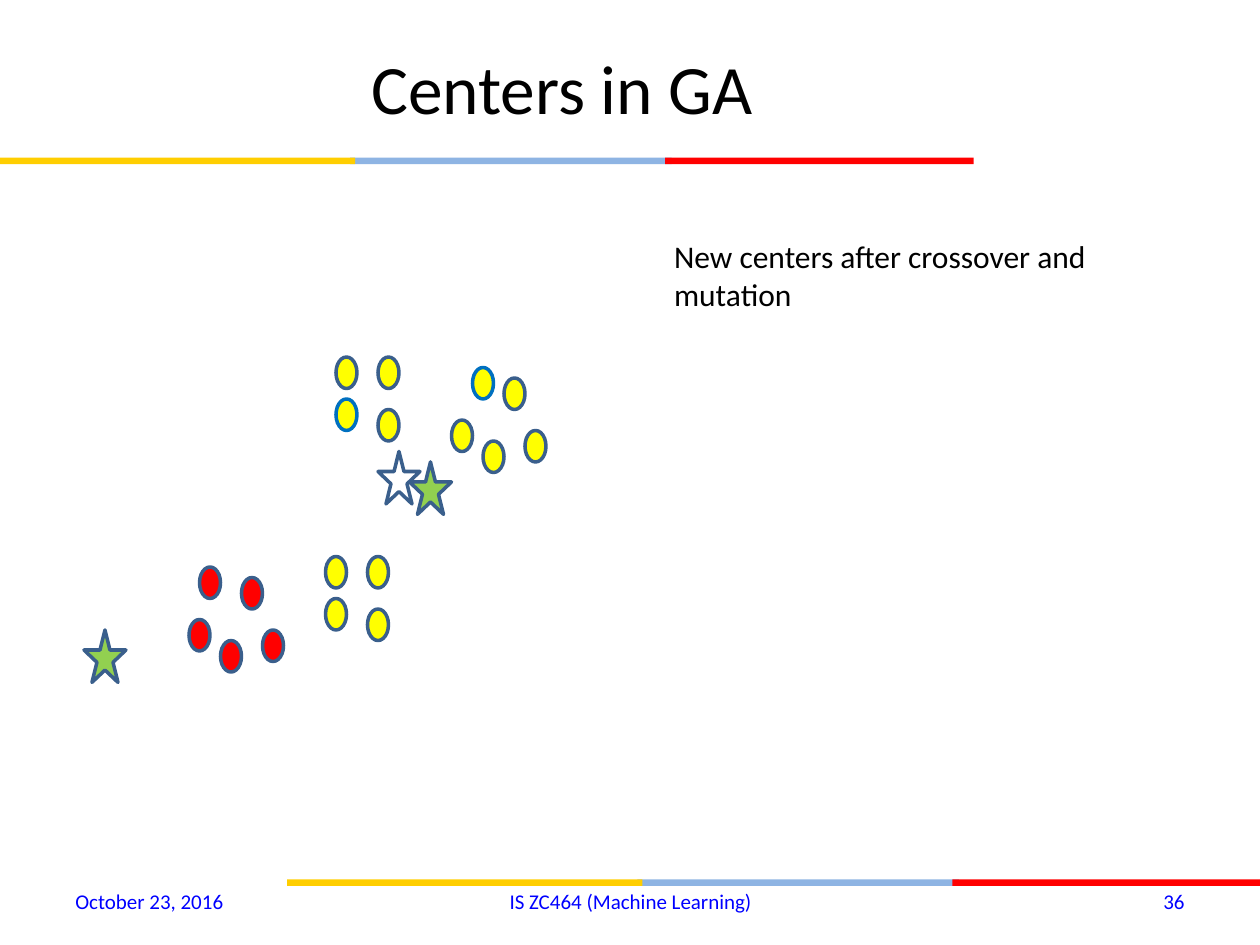
import pptx
import pptx.dml.color
import pptx.enum.shapes
import pptx.enum.text
import pptx.util

Cm = pptx.util.Cm
RGBColor = pptx.dml.color.RGBColor
Shape = pptx.enum.shapes.MSO_SHAPE
Align = pptx.enum.text.PP_ALIGN
Anchor = pptx.enum.text.MSO_ANCHOR

BLACK = RGBColor(0x00, 0x00, 0x00)
WHITE = RGBColor(0xFF, 0xFF, 0xFF)
YELLOW = RGBColor(0xFF, 0xFF, 0x00)
RED = RGBColor(0xFF, 0x00, 0x00)
GREEN = RGBColor(0x92, 0xD0, 0x50)
GOLD = RGBColor(0xFF, 0xCE, 0x00)
LIGHT_BLUE = RGBColor(0x8E, 0xB4, 0xE3)
FOOTER_BLUE = RGBColor(0x00, 0x00, 0xFF)
OUTLINE = RGBColor(0x3A, 0x5F, 0x8C)
BRIGHT_OUTLINE = RGBColor(0x00, 0x70, 0xC0)

GRID_STEP = 2.54 / 12
POINT_SIZE = (2, 3)
STAR_SIZE = (4, 5)

SQUARE_OFFSETS = [(0, 0), (4, 0), (0, 4), (4, 5)]
SQUARE_ORIGINS = [(32, 34), (31, 53)]
YELLOW_RING = [(43, 40), (45, 35), (48, 36), (46, 42), (50, 41)]
RED_RING = [(18, 59), (19, 54), (23, 55), (21, 61), (25, 60)]
BRIGHT_POINTS = {(32, 38), (45, 35)}
CENTERS = [((36, 43), WHITE), ((8, 60), GREEN), ((39, 44), GREEN)]


def add_filled_shape(slide, kind, left, top, width, height, fill, line=None):
    shape = slide.shapes.add_shape(kind, Cm(left), Cm(top), Cm(width), Cm(height))
    shape.shadow.inherit = False
    shape.fill.solid()
    shape.fill.fore_color.rgb = fill
    if line is None:
        shape.line.fill.background()
    else:
        shape.line.color.rgb = line
        shape.line.width = pptx.util.Pt(2)


def add_grid_shape(slide, kind, position, size, fill, line=OUTLINE):
    box = [units * GRID_STEP for units in position + size]
    add_filled_shape(slide, kind, *box, fill, line)


def add_color_bar(slide, left, top):
    for offset, width, color in [
        (7.06, 6.48, LIGHT_BLUE),
        (13.41, 6.22, RED),
        (0, 7.16, GOLD),
    ]:
        add_filled_shape(slide, Shape.RECTANGLE, left + offset, top, width, 0.13, color)


def add_text(slide, text, left, top, width, height, *, size, color=BLACK,
             align=Align.LEFT, anchor=Anchor.MIDDLE):
    box = slide.shapes.add_textbox(Cm(left), Cm(top), Cm(width), Cm(height))
    frame = box.text_frame
    frame.word_wrap = True
    frame.vertical_anchor = anchor
    paragraph = frame.paragraphs[0]
    paragraph.text = text
    paragraph.alignment = align
    paragraph.font.name = "Calibri"
    paragraph.font.size = pptx.util.Pt(size)
    paragraph.font.color.rgb = color


def add_points(slide, positions, fill):
    for position in positions:
        line = BRIGHT_OUTLINE if position in BRIGHT_POINTS else OUTLINE
        add_grid_shape(slide, Shape.OVAL, position, POINT_SIZE, fill, line)


def add_footer(slide):
    for text, left, width, align in [
        ("October 23, 2016", 1.27, 5.92, Align.LEFT),
        ("IS ZC464 (Machine Learning)", 8.69, 8.05, Align.CENTER),
        ("36", 18.21, 5.92, Align.RIGHT),
    ]:
        add_text(slide, text, left, 17.65, width, 1.02, size=12,
                 color=FOOTER_BLUE, align=align)


def main():
    presentation = pptx.Presentation()
    presentation.slide_width = Cm(25.4)
    presentation.slide_height = Cm(19.05)
    slide = presentation.slides.add_slide(presentation.slide_layouts[6])

    add_color_bar(slide, 0, 3.18)
    add_color_bar(slide, 5.79, 17.73)
    add_text(slide, "Centers in GA", 1.27, 0.76, 20.12, 1.98, size=39.6,
             align=Align.CENTER)
    add_footer(slide)

    squares = [(left + x, top + y) for left, top in SQUARE_ORIGINS
               for x, y in SQUARE_OFFSETS]
    add_points(slide, squares + YELLOW_RING, YELLOW)
    add_points(slide, RED_RING, RED)

    add_text(slide, "New centers after crossover and mutation",
             13.34, 4.65, 9.32, 1.8, size=18, anchor=Anchor.TOP)
    for position, fill in CENTERS:
        add_grid_shape(slide, Shape.STAR_5_POINT, position, STAR_SIZE, fill)

    presentation.save("out.pptx")


if __name__ == "__main__":
    main()
